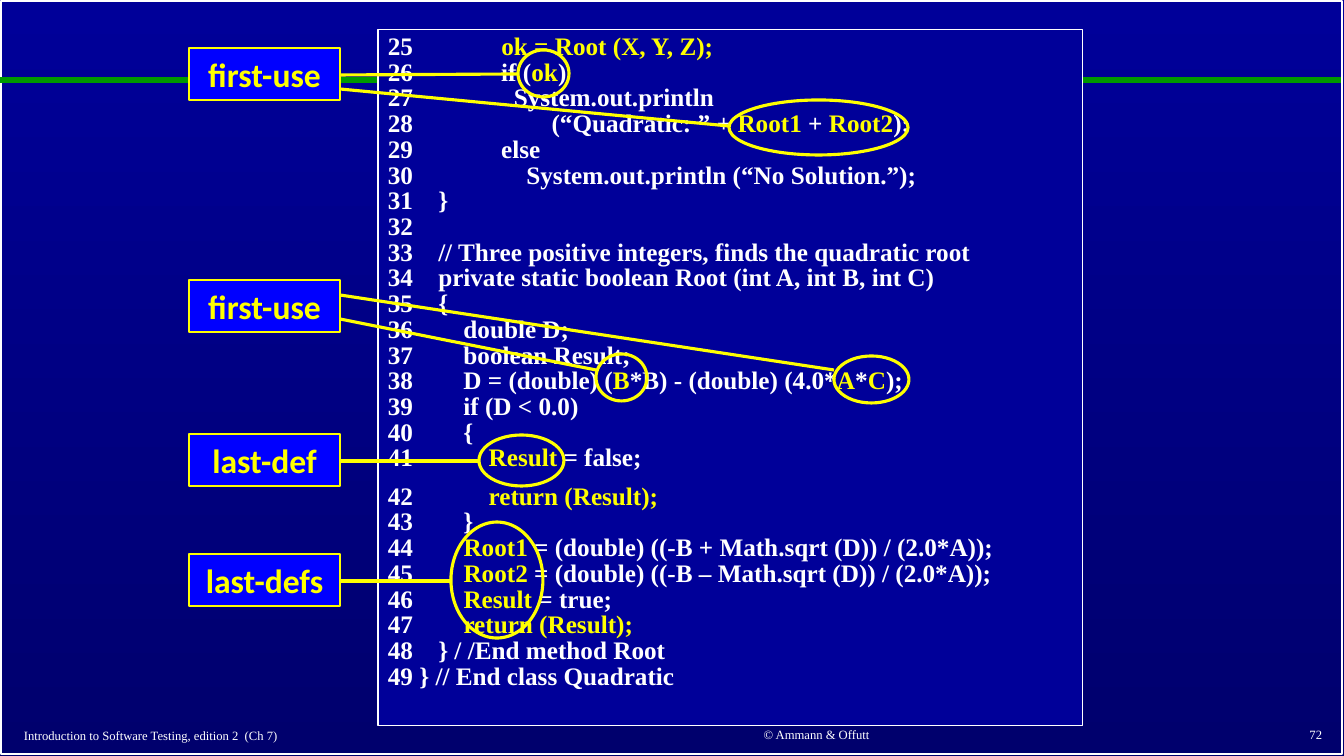
"""Build the slide on first uses and last defs in the Quadratic program."""
from lxml import etree
from pptx import Presentation, util as u
from pptx.dml.color import RGBColor
from pptx.enum import shapes, text
from pptx.oxml.ns import qn

WHITE, YELLOW, GREEN = "FFFFFF", "FFFF00", "009900"
NAVY, DARK, BLUE = "000099", "00006D", "0000FF"
SERIF, SANS = "Times New Roman", "Calibri"
MARK = "~"

CODE = ["""25              ~ok = Root (X, Y, Z);~
26              if (~ok~)
27                System.out.println
28                      (“Quadratic: ” + ~Root1~ + ~Root2~);
29              else
30                  System.out.println (“No Solution.”);
31    }
32
33    // Three positive integers, finds the quadratic root
34    private static boolean Root (int A, int B, int C)
35    {
36        double D;
37        boolean Result;
38        D = (double) (~B~*B) - (double) (4.0*~A~*~C~);
39        if (D < 0.0)
40        {
41            ~Result~ = false;""",
        """42            ~return (Result);~
43        }
44        ~Root1~ = (double) ((-B + Math.sqrt (D)) / (2.0*A));
45        ~Root2~ = (double) ((-B – Math.sqrt (D)) / (2.0*A));
46        ~Result~ = true;
47        ~return (Result);~
48    } / /End method Root
49 } // End class Quadratic"""]

# label, top, then per target: ellipse box, line start y, line end y
CALLOUTS = [
    ("last-def", 434, [((479, 435, 85, 51), 461, 461)]),
    ("first-use", 48, [((518, 50, 51, 47), 75, 74),
                       ((729, 100, 179, 55), 89, 126)]),
    ("first-use", 280, [((596, 354, 51, 47), 319, 370),
                        ((834, 356, 75, 47), 295, 370)]),
    ("last-defs", 554, [((451, 522, 92, 116), 581, 581)]),
]
FOOTERS = [
    ("Introduction to Software Testing, edition 2  (Ch 7)", (14, 722, 552, 26), "LEFT"),
    ("© Ammann & Offutt", (604, 721, 425, 26), "CENTER"),
    ("72", (1052, 721, 280, 27), "RIGHT"),
]
LABEL_X, LABEL_W, LABEL_H = 189, 151, 52


def px(n):
    return u.Emu(round(n * 914400 / 100.8))


def rgb(h):
    return RGBColor.from_string(h)


def add_box(parent, kind, box, line, width, fill=None):
    sp = parent.add_shape(kind, *map(px, box))
    sp.shadow.inherit = False
    if fill:
        sp.fill.solid()
        sp.fill.fore_color.rgb = rgb(fill)
    else:
        sp.fill.background()
    sp.line.color.rgb = rgb(line)
    sp.line.width = u.Pt(width)
    return sp


def add_line(parent, x1, y1, x2, y2, color, width):
    ln = parent.add_connector(shapes.MSO_CONNECTOR.STRAIGHT, *map(px, (x1, y1, x2, y2)))
    ln.line.color.rgb = rgb(color)
    ln.line.width = u.Pt(width)
    etree.SubElement(ln._element.spPr, qn("a:effectLst"))


def write(p, words, size, color, font=SERIF, bold=False, align="LEFT"):
    p.alignment = text.PP_ALIGN[align]
    for i, part in enumerate(words.split(MARK)):
        for j, line in enumerate(part.split("\n")):
            if j:
                p.add_line_break()
            if line:
                r = p.add_run()
                r.text = line
                r.font.size, r.font.name, r.font.bold = u.Pt(size), font, bold
                r.font.color.rgb = rgb(YELLOW if i % 2 else color)


def main():
    prs = Presentation()
    prs.slide_width, prs.slide_height = px(1344), px(756)
    s = prs.slides.add_slide(prs.slide_layouts[6])
    bg = s.background.fill
    bg.gradient()
    bg.gradient_angle = 270
    for stop, color in zip(bg.gradient_stops, (NAVY, DARK)):
        stop.color.rgb = rgb(color)

    rect, oval = shapes.MSO_SHAPE.RECTANGLE, shapes.MSO_SHAPE.OVAL
    add_box(s.shapes, rect, (1, 1, 1341, 753), WHITE, 1)
    add_line(s.shapes, 0, 80, 1341, 80, GREEN, 4.5)

    tf = add_box(s.shapes, rect, (378, 30, 705, 696), WHITE, 0.75, NAVY).text_frame
    tf.word_wrap = True
    tf.vertical_anchor = text.MSO_ANCHOR.TOP
    for i, block in enumerate(CODE):
        p = tf.add_paragraph() if i else tf.paragraphs[0]
        p.line_spacing = 0.85
        if i:
            p.space_before = u.Pt(9)
        write(p, block, 18, WHITE, bold=True)

    for label, top, targets in CALLOUTS:
        grp = s.shapes.add_group_shape().shapes
        box = add_box(grp, rect, (LABEL_X, top, LABEL_W, LABEL_H), YELLOW, 1.5, BLUE)
        box.text_frame.word_wrap = True
        write(box.text_frame.paragraphs[0], label, 24, YELLOW, SANS, True, "CENTER")
        for ellipse, y1, y2 in targets:
            add_box(grp, oval, ellipse, YELLOW, 2.25)
            add_line(grp, LABEL_X + LABEL_W, y1, ellipse[0], y2, YELLOW, 2.25)

    for words, box, align in FOOTERS:
        tf = s.shapes.add_textbox(*map(px, box)).text_frame
        tf.word_wrap = True
        tf.vertical_anchor = text.MSO_ANCHOR.MIDDLE
        write(tf.paragraphs[0], words, 9, WHITE, align=align)

    prs.save("out.pptx")


if __name__ == "__main__":
    main()
